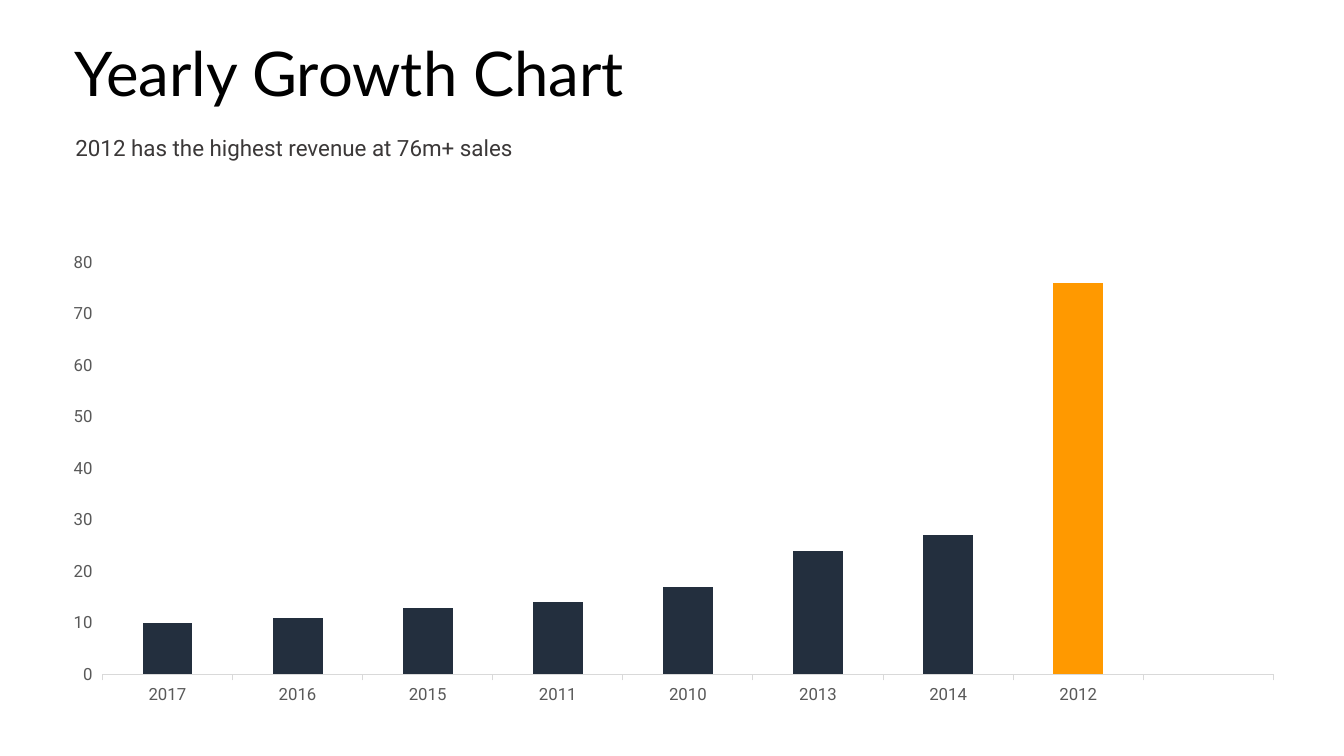
from lxml import etree
from pptx import Presentation
from pptx.chart.data import CategoryChartData
from pptx.dml.color import RGBColor
from pptx.enum.chart import XL_CHART_TYPE, XL_TICK_MARK
from pptx.enum.text import MSO_AUTO_SIZE
from pptx.oxml.ns import qn
from pptx.util import Inches, Pt

COLUMNS = XL_CHART_TYPE.COLUMN_CLUSTERED
TICK_OUT = XL_TICK_MARK.OUTSIDE
FIT_SHAPE = MSO_AUTO_SIZE.SHAPE_TO_FIT_TEXT

THEME = {
    "title": ("Lato", 44, "000000"),
    "subtitle": ("Roboto", 16, "3B3838"),
    "axis": ("Roboto", 12, "595959"),
    "chart": ("Calibri", 10, "000000"),
    "bar": "232F3E",
    "highlight": "FF9900",
    "axis_line": "D9D9D9",
}
REVENUE = {"2017": 10, "2016": 11, "2015": 13, "2011": 14, "2010": 17,
           "2013": 24, "2014": 27, "2012": 76, "": None}
PLOT_AREA = {"x": 0.03, "y": 0.042, "w": 0.952, "h": 0.879}


def rgb(name):
    return RGBColor.from_string(THEME[name])


def set_font(font, style):
    font.name, size, color = THEME[style]
    font.size = Pt(size)
    font.color.rgb = RGBColor.from_string(color)


prs = Presentation()
prs.slide_width, prs.slide_height = Inches(13.33), Inches(7.5)
slide = prs.slides.add_slide(prs.slide_layouts[6])

# Column chart
data = CategoryChartData()
data.categories = list(REVENUE)
data.add_series("Series 1", list(REVENUE.values()))
chart = slide.shapes.add_chart(COLUMNS, Inches(0.65), Inches(2.41),
                               Inches(12.2), Inches(4.65), data).chart
chart.has_legend = False
chart.has_title = False
set_font(chart.font, "chart")

plot = chart.plots[0]
plot.gap_width = 161
plot.overlap = -27
plot.vary_by_categories = False

# Bars, with the best year highlighted
series = plot.series[0]
best_year = list(REVENUE).index("2012")
for bar, color in ((series, "bar"), (series.points[best_year], "highlight")):
    bar.format.fill.solid()
    bar.format.fill.fore_color.rgb = rgb(color)

# Axes
for axis in (chart.category_axis, chart.value_axis):
    axis.has_major_gridlines = False
    axis.major_tick_mark = TICK_OUT
    set_font(axis.tick_labels.font, "axis")
chart.category_axis.format.line.color.rgb = rgb("axis_line")
chart.category_axis.format.line.width = Pt(0.75)
chart.value_axis.format.line.fill.background()
chart.value_axis.minimum_scale = 0
chart.value_axis.maximum_scale = 80
chart.value_axis.major_unit = 10

# Fixed inner plot area, as shares of the chart
plot_area = chart._chartSpace.chart.plotArea
for old in plot_area.findall(qn("c:layout")):
    plot_area.remove(old)
layout = etree.Element(qn("c:layout"))
manual = etree.SubElement(layout, qn("c:manualLayout"))
settings = {"layoutTarget": "inner", "xMode": "edge", "yMode": "edge", **PLOT_AREA}
for tag, value in settings.items():
    etree.SubElement(manual, qn(f"c:{tag}")).set("val", str(value))
plot_area.insert(0, layout)

# Title and subtitle
for text, style, left, top, width, height, wrap, spacing in (
    ("Yearly Growth Chart", "title", 0.64, 0.3, 5.84, 0.84, False, None),
    ("2012 has the highest revenue at 76m+ sales", "subtitle",
     0.65, 1.2, 12.3, 0.42, True, 1.3),
):
    tf = slide.shapes.add_textbox(Inches(left), Inches(top),
                                  Inches(width), Inches(height)).text_frame
    tf.word_wrap = wrap
    tf.auto_size = FIT_SHAPE
    p = tf.paragraphs[0]
    p.text = text
    p.line_spacing = spacing
    set_font(p.font, style)

prs.save("out.pptx")
